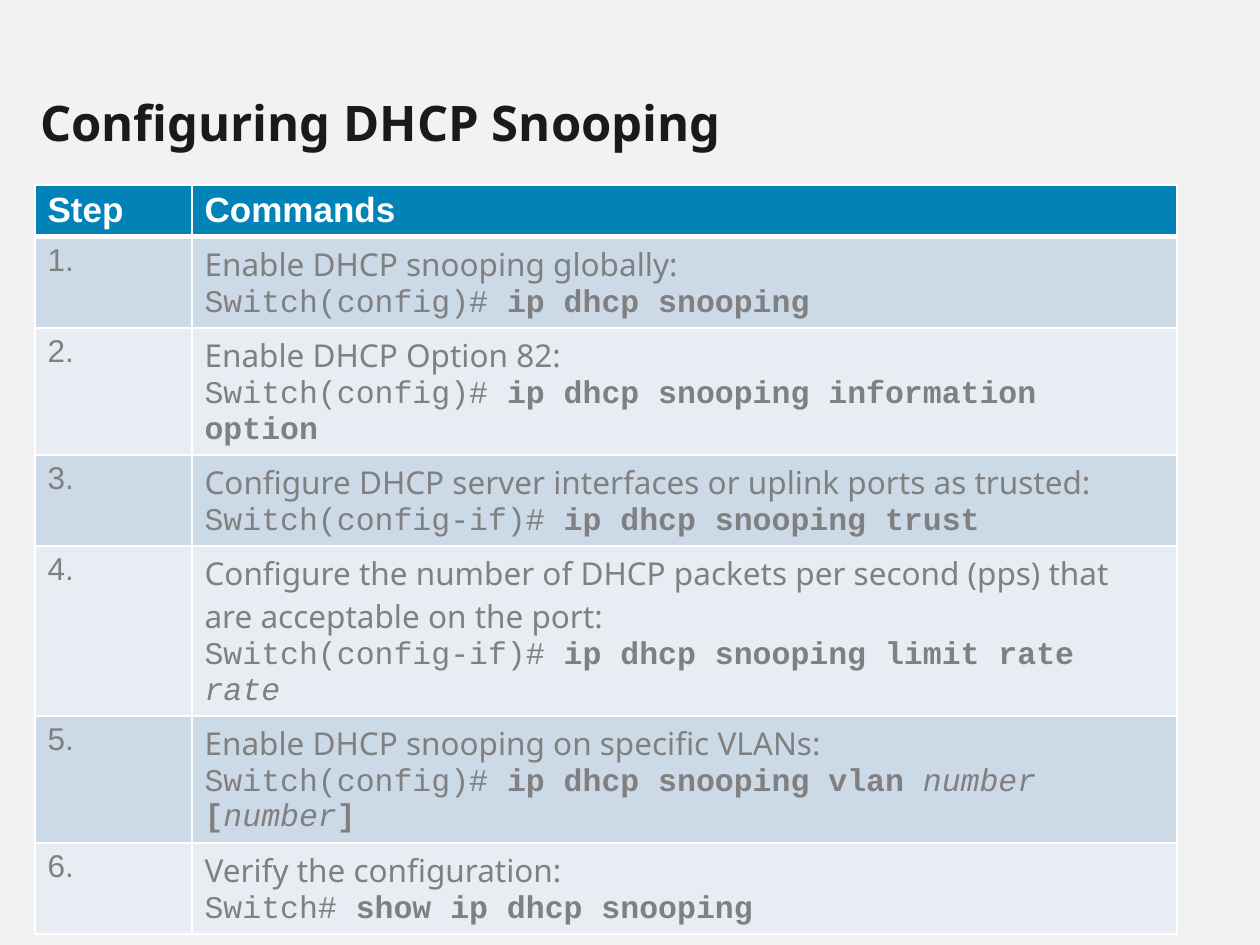
from dataclasses import dataclass

from lxml.etree import SubElement
from pptx import Presentation
from pptx.dml.color import RGBColor as Color
from pptx.enum.text import MSO_ANCHOR as Anchor, PP_ALIGN as Align
from pptx.oxml.ns import qn
from pptx.util import Pt


@dataclass(frozen=True)
class Theme:
    page: str = "F2F2F2"
    title: str = "1A1A1A"
    header: str = "0183B7"
    bands: tuple = ("CCD9E6", "E7EDF3")
    white: str = "FFFFFF"
    body: str = "808080"
    heading_font: str = "Noto Sans"
    label_font: str = "Arial"
    code_font: str = "Courier New"
    title_size: int = 28
    header_size: int = 20
    body_size: int = 18


THEME = Theme()
COLUMN_WIDTHS = (157, 985)
HEADER_HEIGHT = 49
LINE_HEIGHT = 34
ROW_PADDING = 10
PLAIN, BOLD, ITALIC = "plain", "bold", "italic"

# Each step: description, lines of text, then the command as (text, style) spans
STEPS = [
    ("Enable DHCP snooping globally:", 2,
     [("Switch(config)# ", PLAIN), ("ip dhcp snooping", BOLD)]),
    ("Enable DHCP Option 82:", 2,
     [("Switch(config)# ", PLAIN),
      ("ip dhcp snooping information option", BOLD)]),
    ("Configure DHCP server interfaces or uplink ports as trusted:", 2,
     [("Switch(config-if)# ", PLAIN), ("ip dhcp snooping trust", BOLD)]),
    ("Configure the number of DHCP packets per second (pps) that are "
     "acceptable on the port:", 3,
     [("Switch(config-if)# ", PLAIN), ("ip dhcp snooping limit rate ", BOLD),
      ("rate", ITALIC)]),
    ("Enable DHCP snooping on specific VLANs:", 2,
     [("Switch(config)# ", PLAIN), ("ip dhcp snooping vlan ", BOLD),
      ("number ", ITALIC), ("[", BOLD), ("number", ITALIC), ("]", BOLD)]),
    ("Verify the configuration:", 2,
     [("Switch# ", PLAIN), ("show ip dhcp snooping", BOLD)]),
]


def px(length):
    return length * 914400 // 126


def format_span(span, font, size, color, style=PLAIN):
    span.font.name = font
    span.font.size = Pt(size)
    span.font.color.rgb = Color.from_string(color)
    span.font.bold = style == BOLD
    span.font.italic = style == ITALIC


def add_title(page, text):
    box = page.shapes.title
    box.left, box.top, box.width, box.height = map(px, (35, 66, 1174, 91))
    frame = box.text_frame
    frame.text = text
    frame.word_wrap = True
    frame.vertical_anchor = Anchor.BOTTOM
    frame.margin_left = frame.margin_top = frame.margin_bottom = px(5)
    frame.margin_right = px(11)
    para = frame.paragraphs[0]
    para.alignment = Align.LEFT
    para.line_spacing = 0.9
    format_span(para.runs[0], THEME.heading_font, THEME.title_size,
                THEME.title, BOLD)


def style_cell(cell, fill, bottom_width=1):
    properties = cell._tc.get_or_add_tcPr()
    for side, width in (("L", 1), ("R", 1), ("T", 1), ("B", bottom_width)):
        line = SubElement(properties, qn(f"a:ln{side}"), w=str(Pt(width)))
        paint = SubElement(line, qn("a:solidFill"))
        SubElement(paint, qn("a:srgbClr"), val=THEME.white)
    cell.fill.solid()
    cell.fill.fore_color.rgb = Color.from_string(fill)


def write_label(cell, text, size, color, style=PLAIN):
    cell.text = text
    format_span(cell.text_frame.paragraphs[0].runs[0], THEME.label_font,
                size, color, style)


def write_command(cell, description, command):
    cell.text = description
    frame = cell.text_frame
    format_span(frame.paragraphs[0].runs[0], THEME.heading_font,
                THEME.body_size, THEME.body)
    para = frame.add_paragraph()
    for text, style in command:
        span = para.add_run()
        span.text = text
        format_span(span, THEME.code_font, THEME.body_size, THEME.body, style)


def add_steps_table(page):
    box = page.shapes.add_table(len(STEPS) + 1, len(COLUMN_WIDTHS), px(35),
                                px(185), px(sum(COLUMN_WIDTHS)), px(735))
    table = box.table
    for column, width in zip(table.columns, COLUMN_WIDTHS):
        column.width = px(width)

    # Header row
    table.rows[0].height = px(HEADER_HEIGHT)
    for cell, text in zip(table.rows[0].cells, ("Step", "Commands")):
        write_label(cell, text, THEME.header_size, THEME.white, BOLD)
        style_cell(cell, THEME.header, bottom_width=3)

    # Step rows, in alternating bands
    for number, (description, lines, command) in enumerate(STEPS, start=1):
        row = table.rows[number]
        row.height = px(lines * LINE_HEIGHT + ROW_PADDING)
        step_cell, command_cell = row.cells
        write_label(step_cell, f"{number}.", THEME.body_size, THEME.body)
        write_command(command_cell, description, command)
        for cell in row.cells:
            style_cell(cell, THEME.bands[(number - 1) % 2])
    box.height = px(735)


def main():
    deck = Presentation()
    deck.slide_width, deck.slide_height = px(1260), px(945)
    page = deck.slides.add_slide(deck.slide_layouts[5])
    page.background.fill.solid()
    page.background.fill.fore_color.rgb = Color.from_string(THEME.page)
    add_title(page, "Configuring DHCP Snooping")
    add_steps_table(page)
    deck.save("out.pptx")


if __name__ == "__main__":
    main()
